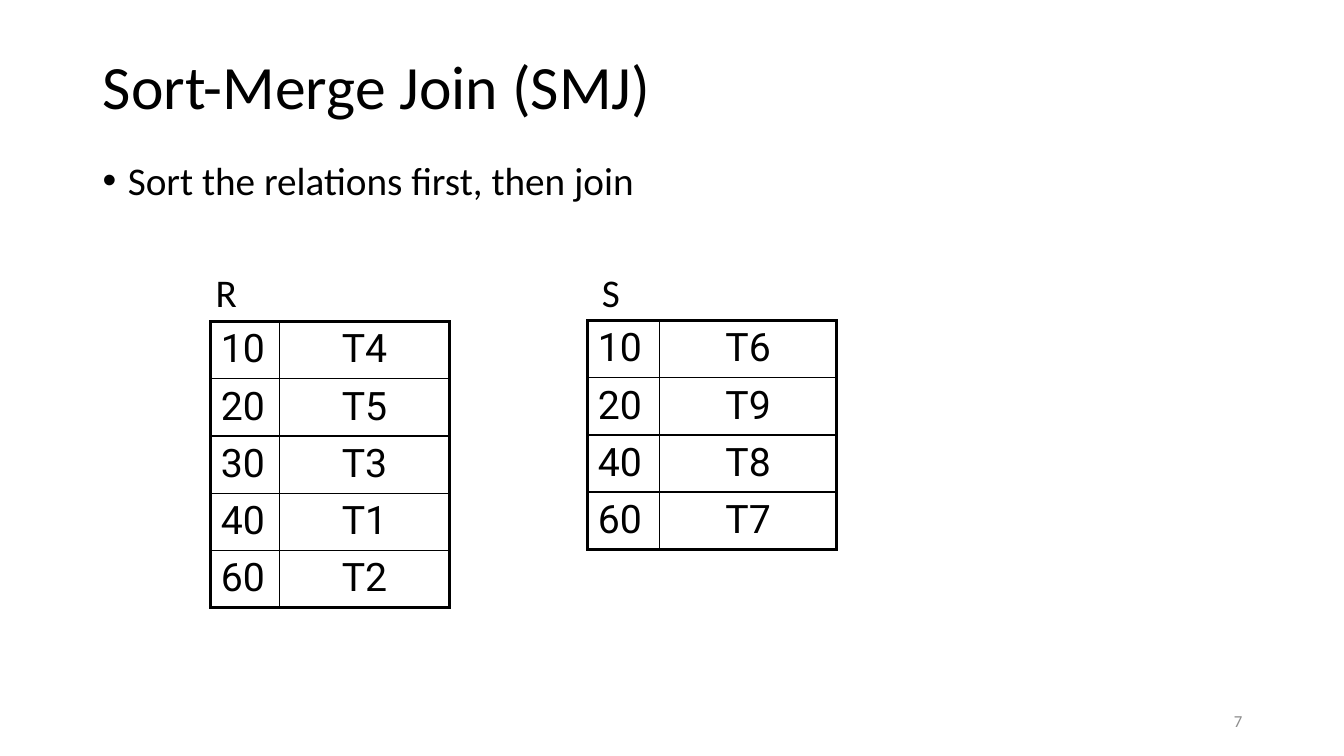
from lxml.etree import SubElement
from pptx import Presentation
from pptx.dml.color import RGBColor
from pptx.enum.text import MSO_ANCHOR, MSO_AUTO_SIZE, PP_ALIGN
from pptx.oxml import parse_xml
from pptx.oxml.ns import nsdecls, qn
from pptx.util import Inches, Pt

BLACK = RGBColor(0x00, 0x00, 0x00)
GREY = RGBColor(0x8C, 0x8C, 0x8C)
ROW_HEIGHT = 0.567
THIN, THICK = 1, 2.25


class JoinSlide:
    """Draws the elements of one slide in a shared style."""

    text_font = "Calibri"
    table_font = "Roboto"

    def __init__(self, deck):
        self.page = deck.slides.add_slide(deck.slide_layouts[5])

    def format(self, para, size, color=BLACK, font=text_font, align=PP_ALIGN.LEFT):
        para.font.name = font
        para.font.size = Pt(size)
        para.font.color.rgb = color
        para.alignment = align

    def title(self, text, left, top, width, height):
        box = self.page.shapes.title
        box.left, box.top = Inches(left), Inches(top)
        box.width, box.height = Inches(width), Inches(height)
        frame = box.text_frame
        frame.text = text
        frame.auto_size = MSO_AUTO_SIZE.NONE
        frame.vertical_anchor = MSO_ANCHOR.MIDDLE
        para = frame.paragraphs[0]
        para.line_spacing = 0.9
        self.format(para, 44)

    def text(self, text, left, top, width, height, size, wrap=True,
             anchor=MSO_ANCHOR.TOP, **style):
        box = self.page.shapes.add_textbox(
            Inches(left), Inches(top), Inches(width), Inches(height))
        frame = box.text_frame
        frame.text = text
        frame.word_wrap = wrap
        frame.vertical_anchor = anchor
        para = frame.paragraphs[0]
        self.format(para, size, **style)
        return para

    def bullet(self, text, left, top, width, height):
        para = self.text(text, left, top, width, height, 28)
        para.line_spacing = 0.9
        para.space_before = Pt(10)
        properties = para._p.get_or_add_pPr()
        properties.set("marL", str(Inches(0.25)))
        properties.set("indent", str(Inches(-0.25)))
        SubElement(properties, qn("a:buFont")).set("typeface", "Arial")
        SubElement(properties, qn("a:buChar")).set("char", "•")

    def borders(self, cell, widths):
        properties = cell._tc.get_or_add_tcPr()
        for index, (side, width) in enumerate(zip("LRTB", widths)):
            properties.insert(index, parse_xml(
                f'<a:ln{side} {nsdecls("a")} w="{Pt(width)}"><a:solidFill>'
                f'<a:srgbClr val="{BLACK}"/></a:solidFill></a:ln{side}>'))

    def relation(self, rows, left, top, column_widths):
        row_count, column_count = len(rows), len(column_widths)
        table = self.page.shapes.add_table(
            row_count, column_count, Inches(left), Inches(top),
            Inches(sum(column_widths)), Inches(ROW_HEIGHT * row_count)).table
        table.first_row = table.horz_banding = False
        for column, width in zip(table.columns, column_widths):
            column.width = Inches(width)
        for row_index, values in enumerate(rows):
            table.rows[row_index].height = Inches(ROW_HEIGHT)
            for column_index, value in enumerate(values):
                cell = table.cell(row_index, column_index)
                cell.text = value
                cell.fill.background()
                self.format(cell.text_frame.paragraphs[0], 28, font=self.table_font,
                            align=PP_ALIGN.CENTER if column_index else PP_ALIGN.LEFT)
                outer = (column_index == 0, column_index == column_count - 1,
                         row_index == 0, row_index == row_count - 1)
                self.borders(cell, [THICK if edge else THIN for edge in outer])


def main():
    deck = Presentation()
    deck.slide_width, deck.slide_height = Inches(13.33), Inches(7.5)
    slide = JoinSlide(deck)
    slide.title("Sort-Merge Join (SMJ)", 0.92, 0.4, 11.5, 0.97)
    slide.bullet("Sort the relations first, then join", 0.92, 1.55, 11.5, 5.21)
    slide.text("7", 9.42, 6.95, 3, 0.4, 12, anchor=MSO_ANCHOR.MIDDLE,
               color=GREY, align=PP_ALIGN.RIGHT)
    slide.relation([("10", "T4"), ("20", "T5"), ("30", "T3"), ("40", "T1"), ("60", "T2")],
                   2.09, 3.19, (0.68, 1.69))
    slide.relation([("10", "T6"), ("20", "T9"), ("40", "T8"), ("60", "T7")],
                   5.83, 3.18, (0.71, 1.76))
    for name, left, width in (("R", 2.04, 0.42), ("S", 5.87, 0.38)):
        slide.text(name, left, 2.61, width, 0.57, 28, wrap=False)
    deck.save("out.pptx")


if __name__ == "__main__":
    main()
